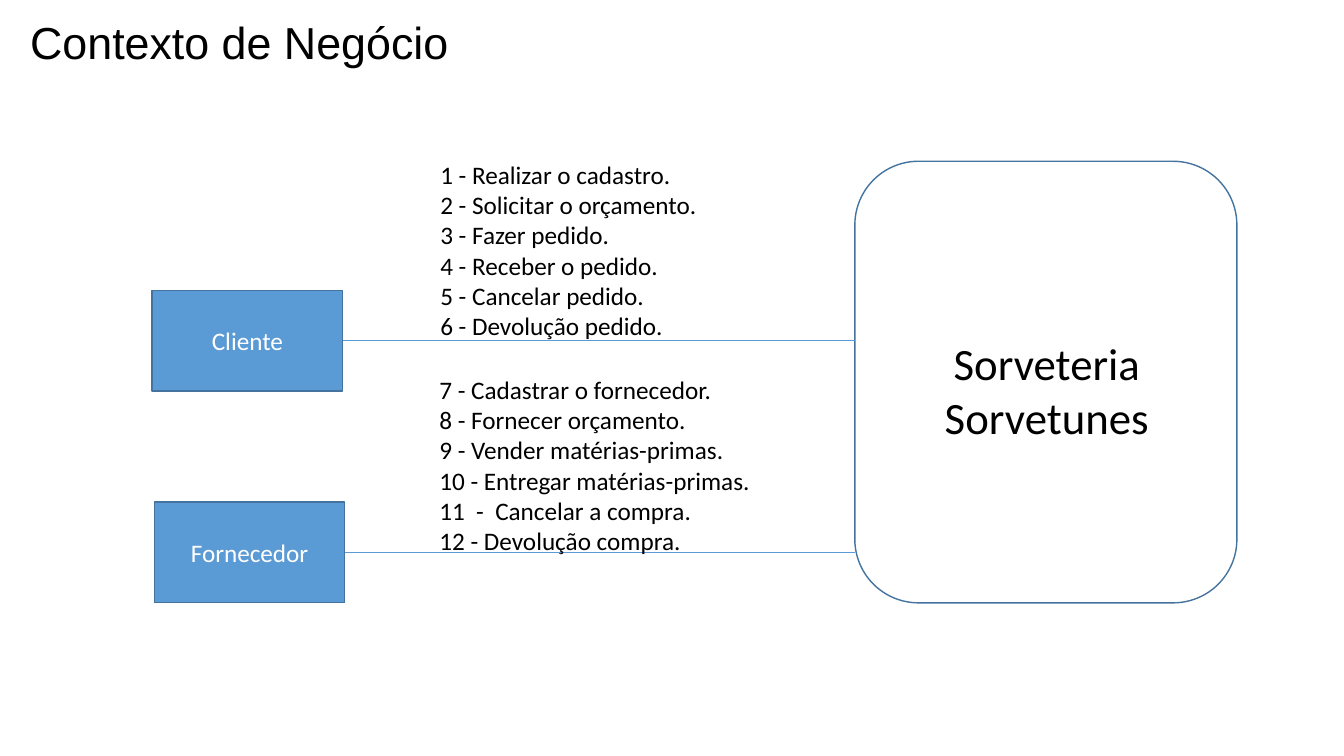
from pptx import Presentation
from pptx.dml.color import RGBColor
from pptx.enum.shapes import MSO_CONNECTOR, MSO_SHAPE
from pptx.enum.text import MSO_ANCHOR, PP_ALIGN
from pptx.oxml.ns import qn
from pptx.util import Pt
from lxml.etree import SubElement

BLUE = RGBColor(0x5B, 0x9B, 0xD5)
DARK_BLUE = RGBColor(0x43, 0x73, 0x9E)
BLACK = RGBColor(0, 0, 0)
WHITE = RGBColor(0xFF, 0xFF, 0xFF)

SYSTEM_LEFT = 610.6
CLIENT_ACTIONS = [
    "1 - Realizar o cadastro.",
    "2 - Solicitar o orçamento.",
    "3 - Fazer pedido.",
    "4 - Receber o pedido.",
    "5 - Cancelar pedido.",
    "6 - Devolução pedido.",
]
SUPPLIER_ACTIONS = [
    "7 - Cadastrar o fornecedor.",
    "8 - Fornecer orçamento.",
    "9 - Vender matérias-primas.",
    "10 - Entregar matérias-primas.",
    "11  -  Cancelar a compra.",
    "12 - Devolução compra.",
]


def write_lines(frame, lines, size, color=BLACK, font="Calibri", align=PP_ALIGN.LEFT):
    frame.word_wrap = True
    for index, line in enumerate(lines):
        paragraph = frame.paragraphs[0] if index == 0 else frame.add_paragraph()
        paragraph.text = line
        paragraph.alignment = align
        paragraph.font.name = font
        paragraph.font.size = Pt(size)
        paragraph.font.color.rgb = color


def add_text(slide, left, top, width, height, lines, size, **style):
    box = slide.shapes.add_textbox(Pt(left), Pt(top), Pt(width), Pt(height))
    write_lines(box.text_frame, lines, size, **style)


def add_outlined(slide, kind, left, top, width, height):
    shape = slide.shapes.add_shape(kind, Pt(left), Pt(top), Pt(width), Pt(height))
    shape.shadow.inherit = False
    shape.line.color.rgb = DARK_BLUE
    shape.line.width = Pt(1)
    return shape


def add_system(slide, left, top, width, height):
    # Rounded frame with the business name across its middle
    frame = add_outlined(slide, MSO_SHAPE.ROUNDED_RECTANGLE, left, top, width, height)
    frame.fill.background()
    add_text(slide, left, top + 121, width + 1.4, 85, ["Sorveteria Sorvetunes"], 32,
             align=PP_ALIGN.CENTER)


def add_actor(slide, left, top, width, height, name, actions, actions_left, actions_top):
    # Actor box
    actor = add_outlined(slide, MSO_SHAPE.RECTANGLE, left, top, width, height)
    actor.fill.solid()
    actor.fill.fore_color.rgb = BLUE
    actor.text_frame.vertical_anchor = MSO_ANCHOR.MIDDLE
    write_lines(actor.text_frame, [name], 18, color=WHITE, align=PP_ALIGN.CENTER)

    # Line to the system
    middle = Pt(top + height / 2)
    link = slide.shapes.add_connector(
        MSO_CONNECTOR.STRAIGHT, Pt(left + width), middle, Pt(SYSTEM_LEFT), middle)
    link.begin_connect(actor, 3)
    link.line.color.rgb = BLUE
    link.line.width = Pt(0.5)
    SubElement(link._element.spPr, qn("a:effectLst"))

    # Actions exchanged along the line
    add_text(slide, actions_left, actions_top, 303, 138, actions, 18)


def build_context_slide(prs):
    slide = prs.slides.add_slide(prs.slide_layouts[6])
    add_text(slide, 14.4, 7.2, 362, 46, ["Contexto de Negócio"], 32, font="Arial")
    add_system(slide, SYSTEM_LEFT, 115.2, 272.9, 315.4)
    add_actor(slide, 108.7, 207.4, 136.1, 72, "Cliente", CLIENT_ACTIONS, 307.4, 110.2)
    add_actor(slide, 110.2, 358.6, 136.1, 72, "Fornecedor", SUPPLIER_ACTIONS, 306.7, 263.8)


def main():
    prs = Presentation()
    prs.slide_width, prs.slide_height = Pt(960), Pt(540)
    build_context_slide(prs)
    prs.save("out.pptx")


if __name__ == "__main__":
    main()
